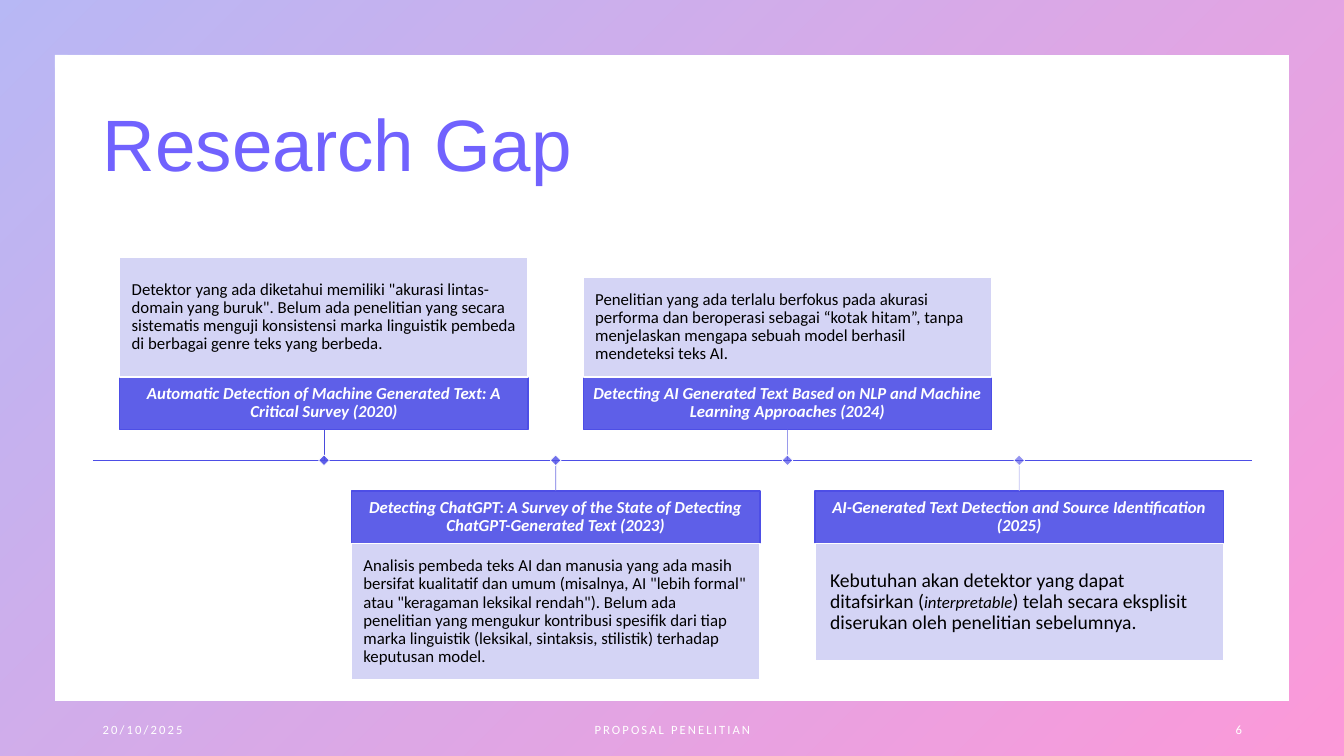
"""Build the Research Gap timeline slide."""
from dataclasses import dataclass

from lxml.etree import SubElement as Sub
from pptx import Presentation
from pptx.dml.color import RGBColor as Color
from pptx.enum.shapes import MSO_CONNECTOR as Link, MSO_SHAPE as Form
from pptx.enum.text import MSO_ANCHOR as Anchor, PP_ALIGN as Align
from pptx.oxml.ns import qn
from pptx.util import Cm, Pt


@dataclass(frozen=True)
class Theme:
    main: str = "4D4EE6"
    pink: str = "F900A0"
    title: str = "7162FE"
    head: str = "5E5FE8"
    body: str = "D0D0F5"
    white: str = "FFFFFF"
    black: str = "000000"
    stems: tuple = ("4A4BDC", "7272E3", "9A9AEB", "C2C2F3")
    face: str = "Calibri"
    display: str = "Arial"
    huge: int = 52
    large: int = 14
    text: int = 12
    small: int = 9


class Deck:
    def __init__(self, theme):
        self.theme = theme
        self.file = Presentation()
        self.file.slide_width, self.file.slide_height = Cm(33.87), Cm(19.05)
        self.slide = self.file.slides.add_slide(self.file.slide_layouts[5])
        self.shapes = self.slide.shapes

    def tint(self, part, hue, alpha=100):
        part.rgb = Color.from_string(hue)
        if alpha < 100:
            node = part._xFill.find(qn("a:srgbClr"))
            Sub(node, qn("a:alpha"), val=str(alpha * 1000))

    def paint(self, part, hue, alpha=100):
        part.solid()
        part.fore_color.rgb = Color.from_string(hue)
        if alpha < 100:
            node = part._xPr.find(qn("a:solidFill")).find(qn("a:srgbClr"))
            Sub(node, qn("a:alpha"), val=str(alpha * 1000))

    def style(self, font, size, hue, bold=False, slant=False, face=None):
        font.name, font.size = face or self.theme.face, Pt(size)
        font.bold, font.italic = bold, slant
        font.color.rgb = Color.from_string(hue)

    def frame(self):
        shape = self.shapes.add_shape(Form.FRAME, 0, 0, self.file.slide_width, self.file.slide_height)
        shape.adjustments[0] = 0.072
        shape.shadow.inherit = False
        shape.line.fill.background()
        shape.fill.gradient()
        shape.fill.gradient_angle = 315
        for stop, hue in zip(shape.fill.gradient_stops, (self.theme.main, self.theme.pink)):
            stop.color.rgb = Color.from_string(hue)
        for node in shape._element.spPr.iter(qn("a:srgbClr")):
            Sub(node, qn("a:alpha"), val="40000")

    def title(self, text):
        box = self.shapes.title
        box.left, box.top, box.width, box.height = Cm(2.34), Cm(1.88), Cm(29.21), Cm(3.68)
        box.text_frame.text = text
        box.text_frame.vertical_anchor = Anchor.MIDDLE
        para = box.text_frame.paragraphs[0]
        para.alignment, para.line_spacing = Align.LEFT, 0.9
        self.style(para.font, self.theme.huge, self.theme.title, face=self.theme.display)

    def rect(self, x, y, w, h, fill, edge, alpha=100, weight=1):
        shape = self.shapes.add_shape(Form.RECTANGLE, Cm(x), Cm(y), Cm(w), Cm(h))
        shape.shadow.inherit = False
        self.paint(shape.fill, fill, alpha)
        self.paint(shape.line.fill, edge)
        shape.line.width = Pt(weight)
        return shape

    def label(self, shape, text, pad, align):
        frame = shape.text_frame
        frame.word_wrap, frame.vertical_anchor = True, Anchor.MIDDLE
        frame.margin_left = frame.margin_right = Cm(pad)
        frame.margin_top = frame.margin_bottom = Cm(pad)
        para = frame.paragraphs[0]
        para.alignment, para.line_spacing = align, 0.9
        for part in [text] if isinstance(text, str) else text:
            para.add_run().text = part
        return para

    def line(self, x1, y1, x2, y2, hue, weight):
        link = self.shapes.add_connector(Link.STRAIGHT, Cm(x1), Cm(y1), Cm(x2), Cm(y2))
        self.paint(link.line.fill, hue)
        link.line.width = Pt(weight)
        Sub(link._element.spPr, qn("a:effectLst"))
        return link

    def card(self, slot, name, text, tall):
        theme = self.theme
        axis, gap, wide, high = 11.6, 0.77, 10.29, 1.33
        x = 3.02 + 5.84 * slot
        mid = x + wide / 2
        above = slot % 2 == 0
        top = axis - gap - high if above else axis + gap
        head = self.rect(x, top, wide, high, theme.head, theme.main)
        para = self.label(head, name, 0.18, Align.CENTER)
        self.style(para.font, theme.text, theme.white, bold=True, slant=True)
        body = self.rect(x, top - tall if above else top + high, wide, tall, theme.body, theme.white, 90)
        mixed = not isinstance(text, str)
        para = self.label(body, text, 0.38 if mixed else 0.3, Align.LEFT)
        if mixed:
            for spot, run in enumerate(para.runs):
                slant = spot == 1
                self.style(run.font, theme.text if slant else theme.large, theme.black, slant=slant)
        else:
            self.style(para.font, theme.text, theme.black)
        stem = self.line(mid, top, mid, axis, theme.stems[slot], 0.5)
        stem.begin_connect(head, 2 if above else 0)
        size = 0.19
        mark = self.rect(mid - size / 2, axis - size / 2, size, size, theme.main, theme.white, 90 - 10 * slot, 0.5)
        mark.rotation = 45

    def foot(self, x, w, text, align):
        box = self.shapes.add_textbox(Cm(x), Cm(17.86), Cm(w), Cm(1.02))
        para = self.label(box, text, 0.25, align)
        para.line_spacing = 1.0
        self.style(para.font, self.theme.small, self.theme.white)
        for run in para.runs:
            run._r.get_or_add_rPr().set("spc", "150")


CARDS = [
    ("Automatic Detection of Machine Generated Text: A Critical Survey (2020)",
     'Detektor yang ada diketahui memiliki "akurasi lintas-domain yang buruk". Belum ada penelitian '
     "yang secara sistematis menguji konsistensi marka linguistik pembeda di berbagai genre teks "
     "yang berbeda.", 3.02),
    ("Detecting ChatGPT: A Survey of the State of Detecting ChatGPT-Generated Text (2023)",
     "Analisis pembeda teks AI dan manusia yang ada masih bersifat kualitatif dan umum (misalnya, "
     'AI "lebih formal" atau "keragaman leksikal rendah"). Belum ada penelitian yang mengukur '
     "kontribusi spesifik dari tiap marka linguistik (leksikal, sintaksis, stilistik) terhadap "
     "keputusan model.", 3.43),
    ("Detecting AI Generated Text Based on NLP and Machine Learning Approaches (2024)",
     "Penelitian yang ada terlalu berfokus pada akurasi performa dan beroperasi sebagai “kotak "
     "hitam”, tanpa menjelaskan mengapa sebuah model berhasil mendeteksi teks AI.", 2.51),
    ("AI-Generated Text Detection and Source Identification (2025)",
     ("Kebutuhan akan detektor yang dapat ditafsirkan (", "interpretable",
      ") telah secara eksplisit diserukan oleh penelitian sebelumnya."), 2.95),
]


def main():
    deck = Deck(Theme())
    deck.frame()
    deck.title("Research Gap")
    deck.line(2.34, 11.6, 31.55, 11.6, deck.theme.main, 1)
    for slot, (name, text, tall) in enumerate(CARDS):
        deck.card(slot, name, text, tall)
    deck.foot(2.34, 7.62, "20/10/2025", Align.LEFT)
    deck.foot(11.23, 11.43, "PROPOSAL PENELITIAN", Align.CENTER)
    deck.foot(23.93, 7.62, "6", Align.RIGHT)
    deck.file.save("out.pptx")


if __name__ == "__main__":
    main()
